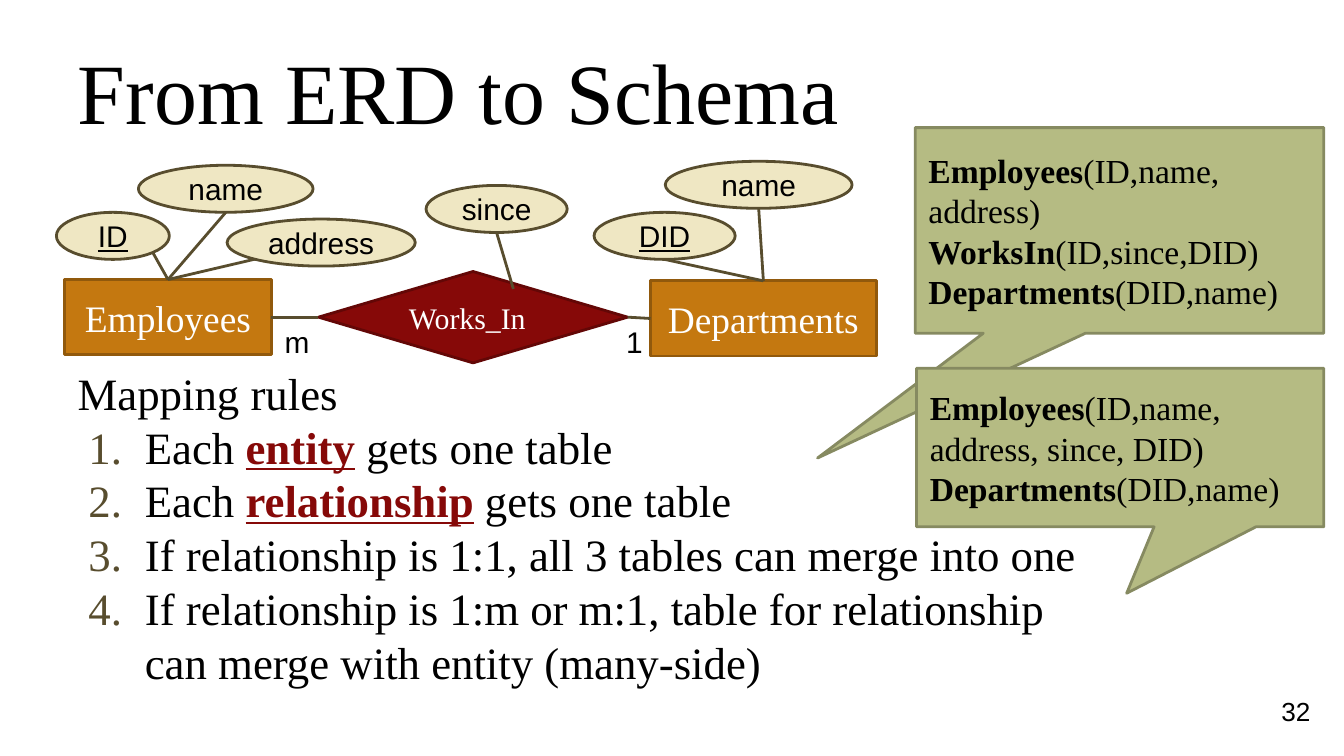
import math

from lxml import etree
from pptx import Presentation
from pptx.dml.color import RGBColor
from pptx.enum import shapes, text
from pptx.oxml.ns import qn
from pptx.util import Inches, Pt

THEME = {
    "serif": "Times New Roman", "sans": "Arial",
    "black": "000000", "white": "FFFFFF", "accent": "860908", "ink": "584D2E",
    "entity": ("C47810", "91590C"), "relation": ("860908", "630706"),
    "attribute": ("EFE7C3", "584D2E"), "schema": ("B5BB83", "868A61"),
    "title": 46, "body": 24, "entity_size": 20, "schema_size": 18,
    "small": 16, "number": 14, "line": 1.5,
}
WIDTH = 10
HEIGHT = WIDTH * 9 / 16

# Content: a paragraph is a list of (words, font values) runs
BOLD = {"bold": True}
KEY = {"underline": True}
TERM = {"bold": True, "underline": True, "color": THEME["accent"]}
TITLE = "From ERD to Schema"
RULES = [
    [("Mapping rules", {})],
    [("Each ", {}), ("entity", TERM), (" gets one table", {})],
    [("Each ", {}), ("relationship", TERM), (" gets one table", {})],
    [("If relationship is 1:1, all 3 tables can merge into one", {})],
    [("If relationship is 1:m or m:1, table for relationship can merge "
      "with entity (many-side)", {})],
]
ENTITIES = {"Employees": (0.48, 2.08, 1.54, 0.56),
            "Departments": (4.84, 2.09, 1.68, 0.56)}
RELATION = ("Works_In", (2.37, 2.02, 2.3, 0.68))
SINCE_END = (3.82, 2.15)
OVAL_HEIGHT = 0.35
# name, run values, left, top, width, owner, angle where the line leaves the oval
ATTRIBUTES = [
    ("ID", KEY, 0.42, 1.58, 0.84, "Employees", 45),
    ("name", {}, 1.03, 1.23, 1.3, "Employees", 90),
    ("name", {}, 4.95, 1.2, 1.39, "Departments", 90),
    ("DID", KEY, 4.42, 1.58, 1.05, "Departments", 90),
    ("address", {}, 1.69, 1.63, 1.4, "Employees", 135),
    ("since", {}, 3.17, 1.38, 1.05, None, 90),
]
CARDINALITIES = [("1", 4.56), ("m", 2.02)]
SCHEMAS = [
    ((6.81, 0.95, 3.04, 1.53), (-0.739, 1.107, 0), [
        [("Employees", BOLD), ("(ID,name,", {})],
        [("address)", {})],
        [("WorksIn", BOLD), ("(ID,since,DID)", {})],
        [("Departments", BOLD), ("(DID,name)", {})]]),
    ((6.82, 2.74, 3.03, 1.18), (0.016, 0.919, 0), [
        [("Employees", BOLD), ("(ID,name,", {})],
        [("address, since, DID)", {})],
        [("Departments", BOLD), ("(DID,name)", {})]]),
]


def inches(values):
    return [Inches(value) for value in values]


def write(shape, paragraphs, size, font="serif", color="black",
          align=text.PP_ALIGN.LEFT, anchor=text.MSO_ANCHOR.MIDDLE,
          inset=0.1, wrap=True):
    frame = shape.text_frame
    layout = {"word_wrap": wrap, "vertical_anchor": anchor,
              "auto_size": text.MSO_AUTO_SIZE.NONE,
              "margin_left": Inches(0.1), "margin_right": Inches(0.1),
              "margin_top": Inches(inset), "margin_bottom": Inches(inset)}
    for name, value in layout.items():
        setattr(frame, name, value)
    for index, runs in enumerate(paragraphs):
        paragraph = frame.paragraphs[0] if index == 0 else frame.add_paragraph()
        paragraph.alignment = align
        for words, values in runs:
            run = paragraph.add_run()
            run.text = words
            look = {"name": THEME[font], "size": Pt(THEME[size]), **values}
            run.font.color.rgb = RGBColor.from_string(look.pop("color", THEME[color]))
            for name, value in look.items():
                setattr(run.font, name, value)
    return frame


def add_box(slide, kind, box, style):
    shape = slide.shapes.add_shape(kind, *inches(box))
    fill, line = THEME[style]
    shape.shadow.inherit = False
    shape.fill.solid()
    shape.fill.fore_color.rgb = RGBColor.from_string(fill)
    shape.line.color.rgb = RGBColor.from_string(line)
    shape.line.width = Pt(THEME["line"])
    return shape


def add_line(slide, start=(0, 0), end=(0, 0)):
    line = slide.shapes.add_connector(shapes.MSO_CONNECTOR.STRAIGHT,
                                      *inches(start + end))
    line.line.color.rgb = RGBColor.from_string(THEME["ink"])
    line.line.width = Pt(THEME["line"])
    etree.SubElement(line._element.spPr, qn("a:effectLst"))
    return line


def number_paragraph(paragraph):
    properties = paragraph._p.get_or_add_pPr()
    properties.set("marL", str(Inches(0.5)))
    properties.set("indent", str(Inches(-0.42)))
    color = etree.SubElement(properties, qn("a:buClr"))
    etree.SubElement(color, qn("a:srgbClr"), val=THEME["ink"])
    etree.SubElement(properties, qn("a:buFont"), typeface=THEME["serif"])
    etree.SubElement(properties, qn("a:buAutoNum"), type="arabicPeriod")


def add_diagram(slide):
    center = text.PP_ALIGN.CENTER
    # Entities and relationship
    entities = {}
    for name, box in ENTITIES.items():
        entities[name] = add_box(slide, shapes.MSO_SHAPE.RECTANGLE, box, "entity")
        write(entities[name], [[(name, {})]], "entity_size", color="white", align=center)
    name, box = RELATION
    relation = add_box(slide, shapes.MSO_SHAPE.DIAMOND, box, "relation")
    write(relation, [[(name, {})]], "small", color="white")
    for left, right in ((entities["Employees"], relation),
                        (relation, entities["Departments"])):
        link = add_line(slide)
        link.begin_connect(left, 3)
        link.end_connect(right, 1)

    # Attributes, each tied to its owner
    for name, values, left, top, width, owner, angle in ATTRIBUTES:
        oval = add_box(slide, shapes.MSO_SHAPE.OVAL,
                       (left, top, width, OVAL_HEIGHT), "attribute")
        write(oval, [[(name, values)]], "small", "sans", align=center, wrap=False)
        turn = math.radians(angle)
        edge = (left + width / 2 * (1 + math.cos(turn)),
                top + OVAL_HEIGHT / 2 * (1 + math.sin(turn)))
        link = add_line(slide, SINCE_END, edge)
        if owner:
            link.begin_connect(entities[owner], 0)

    # Cardinalities
    for mark, left in CARDINALITIES:
        label = slide.shapes.add_textbox(*inches((left, 2.31, 0.33, 0.43)))
        write(label, [[(mark, {})]], "small", "sans", anchor=text.MSO_ANCHOR.TOP)


def main():
    deck = Presentation()
    deck.slide_width, deck.slide_height = inches((WIDTH, HEIGHT))
    slide = deck.slides.add_slide(deck.slide_layouts[5])

    # Title
    title = slide.shapes.title
    title.left, title.top, title.width, title.height = inches((0.48, 0.41, 8.52, 0.52))
    write(title, [[(TITLE, {})]], "title", inset=0.05)

    # Mapping rules
    rules = slide.shapes.add_textbox(*inches((0.48, 2.67, 7.74, 2.75)))
    frame = write(rules, RULES, "body", anchor=text.MSO_ANCHOR.TOP, inset=0.05)
    for paragraph in frame.paragraphs[1:]:
        number_paragraph(paragraph)

    # Slide number
    number = slide.shapes.add_textbox(*inches((8.23, 5.17, 1.62, 0.24)))
    write(number, [[("32", {})]], "number", "sans",
          align=text.PP_ALIGN.RIGHT, inset=0.05)

    add_diagram(slide)

    # Schema callouts
    for box, pointer, lines in SCHEMAS:
        callout = add_box(slide, shapes.MSO_SHAPE.ROUNDED_RECTANGULAR_CALLOUT,
                          box, "schema")
        for index, value in enumerate(pointer):
            callout.adjustments[index] = value
        write(callout, lines, "schema_size")

    deck.save("out.pptx")


if __name__ == "__main__":
    main()
